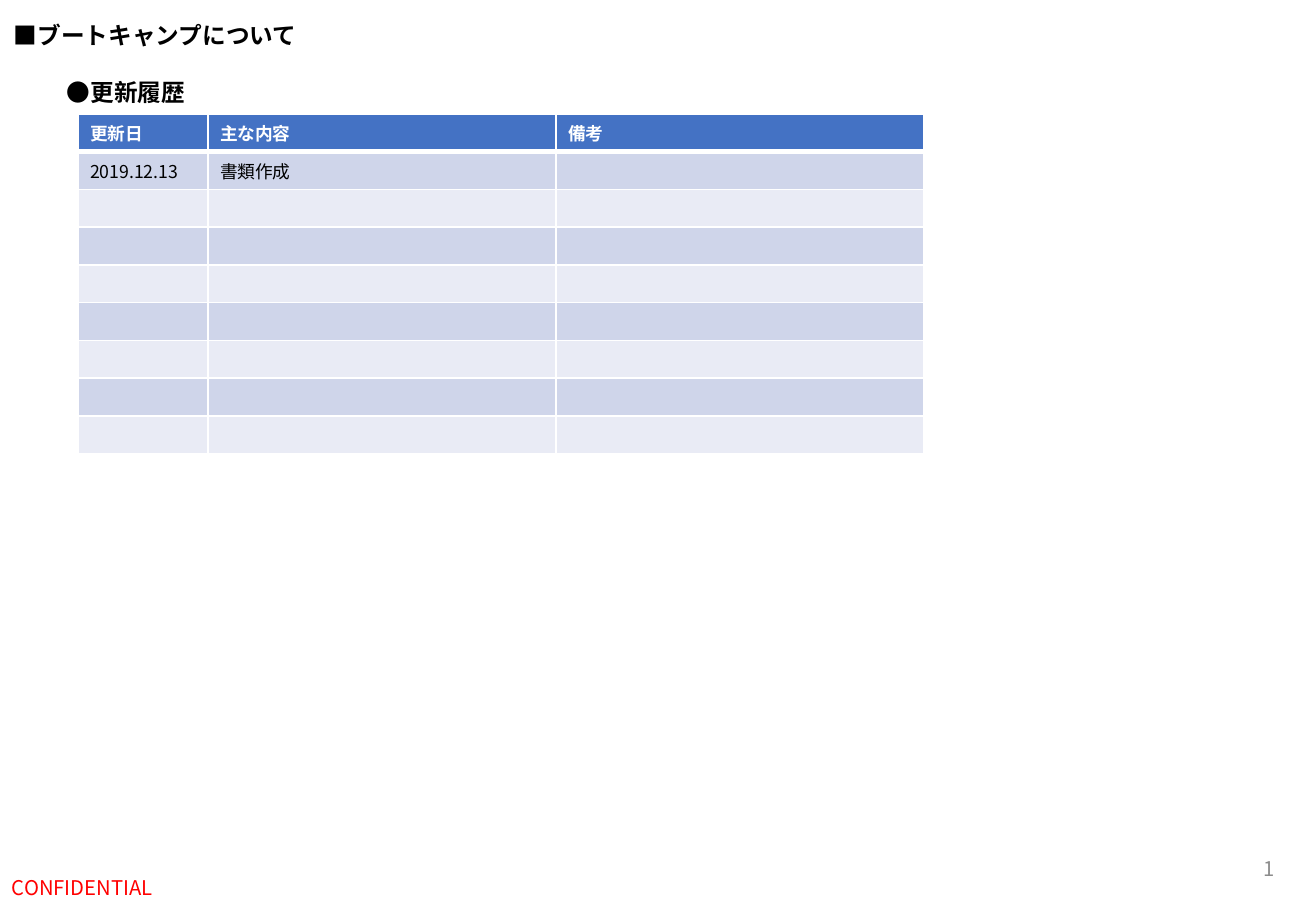
from lxml.etree import SubElement
from pptx import Presentation
from pptx.dml.color import RGBColor as Rgb
from pptx.enum.text import MSO_ANCHOR as Anchor, PP_ALIGN as Align
from pptx.oxml import parse_xml
from pptx.oxml.ns import nsdecls, qn
from pptx.util import Pt

PX = 914400 / 121.5
FONT = "Noto Sans CJK JP"
HEX = {"black": "000000", "white": "FFFFFF", "red": "FF0000", "gray": "8C8C8C",
       "head": "4472C4", "odd": "CFD5EA", "even": "E9EBF5"}

SIZE = (1316, 911)
HEADS = ["更新日", "主な内容", "備考"]
LOG = [("2019.12.13", "書類作成", "")]
ROWS = 9
COLS = [130, 348, 368]
GRID = (78, 114, sum(COLS), 338)
TEXTS = [
    ("■ブートキャンプについて", (2, 15, 311, 41), 14, "black", True, Align.LEFT, Anchor.TOP, False),
    ("●更新履歴", (55, 72, 143, 41), 14, "black", True, Align.LEFT, Anchor.TOP, False),
    ("1", (991, 844, 296, 49), 12, "gray", False, Align.RIGHT, Anchor.MIDDLE, True),
    ("CONFIDENTIAL", (0, 863, 411, 49), 12, "red", False, Align.LEFT, Anchor.MIDDLE, True),
]


def emu(vals):
    """Turn pixel lengths into EMU."""
    return [round(v * PX) for v in vals]


def style(para, size, color, bold):
    """Format the runs of a paragraph, or its end mark when it is empty."""
    for run in para.runs:
        font = run.font
        font.name, font.size, font.bold = FONT, Pt(size), bold
        font.color.rgb = Rgb.from_string(HEX[color])
        SubElement(font._element, qn("a:ea"), typeface=FONT)
    if not para.runs:
        end = SubElement(para._p, qn("a:endParaRPr"), sz=str(int(size * 100)))
        for tag in ("a:latin", "a:ea"):
            SubElement(end, qn(tag), typeface=FONT)


def edge(cell, top, low):
    """Draw white borders round a cell."""
    props = cell._tc.get_or_add_tcPr()
    for i, (side, wide) in enumerate(zip("LRTB", (1, 1, top, low))):
        props.insert(i, parse_xml(
            f'<a:ln{side} {nsdecls("a")} w="{Pt(wide)}"><a:solidFill>'
            f'<a:srgbClr val="{HEX["white"]}"/></a:solidFill></a:ln{side}>'))


def add_log(slide):
    """Add the table of updates."""
    table = slide.shapes.add_table(ROWS, len(COLS), *emu(GRID)).table
    for col, wide in zip(table.columns, emu(COLS)):
        col.width = wide
    data = [HEADS] + LOG + [[""] * len(COLS)] * (ROWS - 1 - len(LOG))
    for r, line in enumerate(data):
        table.rows[r].height = round(GRID[3] * PX / ROWS)
        fill = "head" if r == 0 else "odd" if r % 2 else "even"
        for c, text in enumerate(line):
            cell = table.cell(r, c)
            cell.text_frame.text = text
            style(cell.text_frame.paragraphs[0], 10.5, "black" if r else "white", r == 0)
            cell.fill.solid()
            cell.fill.fore_color.rgb = Rgb.from_string(HEX[fill])
            edge(cell, 3 if r == 1 else 1, 3 if r == 0 else 1)


def add_text(slide, text, box, size, color, bold, align, anchor, wrap):
    """Add one line of text."""
    frame = slide.shapes.add_textbox(*emu(box)).text_frame
    frame.text, frame.word_wrap, frame.vertical_anchor = text, wrap, anchor
    para = frame.paragraphs[0]
    para.alignment = align
    style(para, size, color, bold)


deck = Presentation()
deck.slide_width, deck.slide_height = emu(SIZE)
page = deck.slides.add_slide(deck.slide_layouts[6])
add_log(page)
for item in TEXTS:
    add_text(page, *item)
deck.save("out.pptx")
